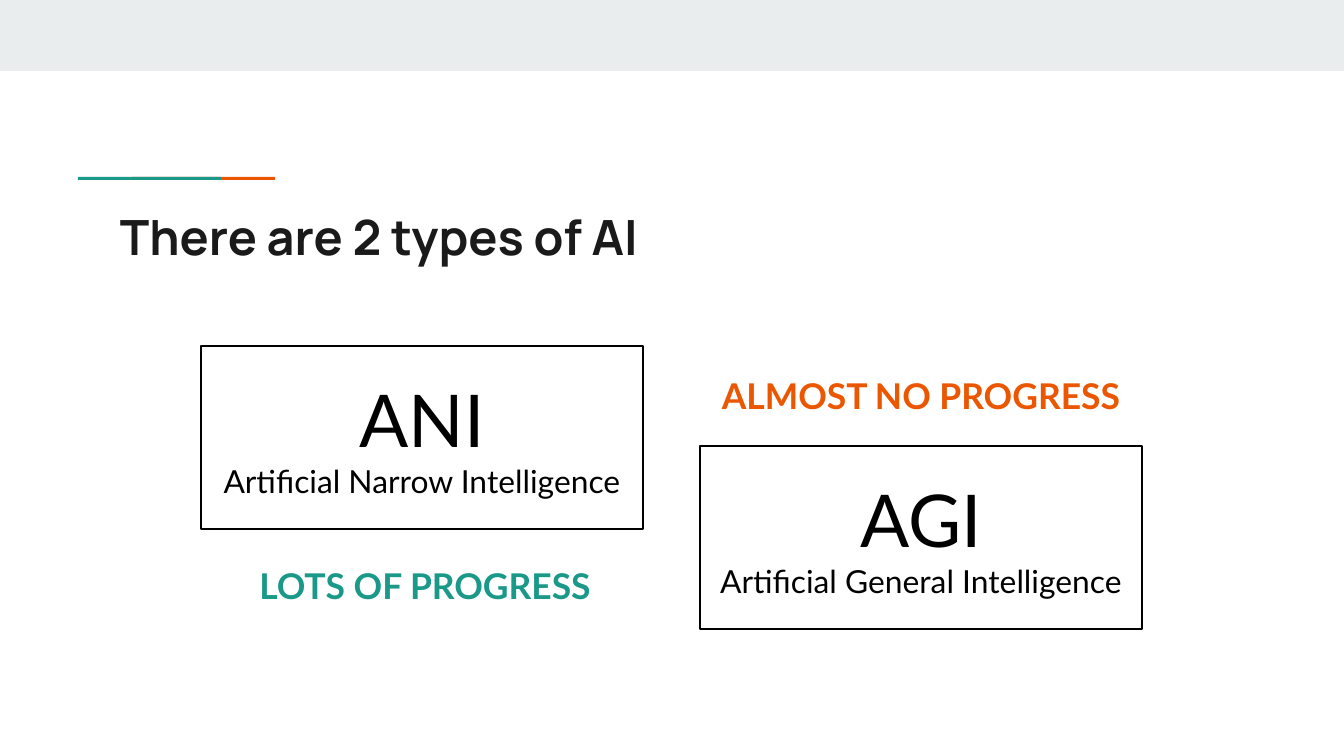
from pptx import Presentation
from pptx.dml.color import RGBColor
from pptx.enum.shapes import MSO_SHAPE
from pptx.enum.text import MSO_ANCHOR, PP_ALIGN
from pptx.util import Pt

EMU_PER_PX = 914400 / 134.4
SLIDE_WIDTH, SLIDE_HEIGHT = 1344, 756
INSET = 13
CARD_WIDTH, CARD_HEIGHT = 442, 183
LABEL_HEIGHT = 103

COLORS = {
    "band": "E9EDEE",
    "teal": "1A9988",
    "orange": "EB5600",
    "title": "1A1A1A",
    "black": "000000",
}


def px(length):
    return round(length * EMU_PER_PX)


def color(name):
    return RGBColor.from_string(COLORS[name])


def add_rectangle(slide, box, fill=None, line=None):
    shape = slide.shapes.add_shape(MSO_SHAPE.RECTANGLE, *map(px, box))
    shape.shadow.inherit = False
    if fill:
        shape.fill.solid()
        shape.fill.fore_color.rgb = color(fill)
    else:
        shape.fill.background()
    if line:
        shape.line.color.rgb = color(line)
        shape.line.width = Pt(0.75)
    else:
        shape.line.fill.background()
    return shape


def write_text(shape, lines, color_name, font="Lato", bold=False,
               alignment=PP_ALIGN.CENTER, anchor=MSO_ANCHOR.TOP):
    """Fill the shape with one paragraph for each (text, point size) pair."""
    frame = shape.text_frame
    frame_format = {"word_wrap": True, "vertical_anchor": anchor}
    for side in ("left", "top", "right", "bottom"):
        frame_format[f"margin_{side}"] = px(INSET)
    for name, value in frame_format.items():
        setattr(frame, name, value)

    for index, (text, size) in enumerate(lines):
        paragraph = frame.add_paragraph() if index else frame.paragraphs[0]
        paragraph.alignment = alignment
        run = paragraph.add_run()
        run.text = text
        for name, value in {"name": font, "size": Pt(size), "bold": bold}.items():
            setattr(run.font, name, value)
        run.font.color.rgb = color(color_name)


def add_accent(slide, left, top, width, height):
    """Draw a two-colour rule whose teal bar overlaps the orange one."""
    bar_width = 143
    add_rectangle(slide, (left + width - bar_width, top, bar_width, height), "orange")
    add_rectangle(slide, (left, top, bar_width, height), "teal")


def add_title(slide, box):
    title = slide.shapes.add_textbox(*map(px, box))
    write_text(title, [("There are 2 types of AI", 26)], "title",
               font="Manrope", bold=True, alignment=PP_ALIGN.LEFT)


def add_card(slide, left, top, short_name, full_name):
    card = add_rectangle(slide, (left, top, CARD_WIDTH, CARD_HEIGHT), line="black")
    write_text(card, [(short_name, 39), (full_name, 17)], "black",
               anchor=MSO_ANCHOR.MIDDLE)


def add_progress_label(slide, left, top, text, color_name, anchor):
    label = slide.shapes.add_textbox(*map(px, (left, top, CARD_WIDTH, LABEL_HEIGHT)))
    write_text(label, [(text, 19)], color_name, bold=True, anchor=anchor)


def main():
    presentation = Presentation()
    presentation.slide_width = px(SLIDE_WIDTH)
    presentation.slide_height = px(SLIDE_HEIGHT)
    slide = presentation.slides.add_slide(presentation.slide_layouts[6])

    add_rectangle(slide, (0, 0, SLIDE_WIDTH, 71), "band")
    add_accent(slide, 78, 177, 197, 3)
    add_title(slide, (107, 194, 1130, 79))
    add_card(slide, 201, 346, "ANI", "Artificial Narrow Intelligence")
    add_card(slide, 700, 446, "AGI", "Artificial General Intelligence")
    add_progress_label(slide, 204, 551, "LOTS OF PROGRESS", "teal", MSO_ANCHOR.TOP)
    add_progress_label(slide, 700, 327, "ALMOST NO PROGRESS", "orange", MSO_ANCHOR.BOTTOM)

    presentation.save("out.pptx")


if __name__ == "__main__":
    main()
